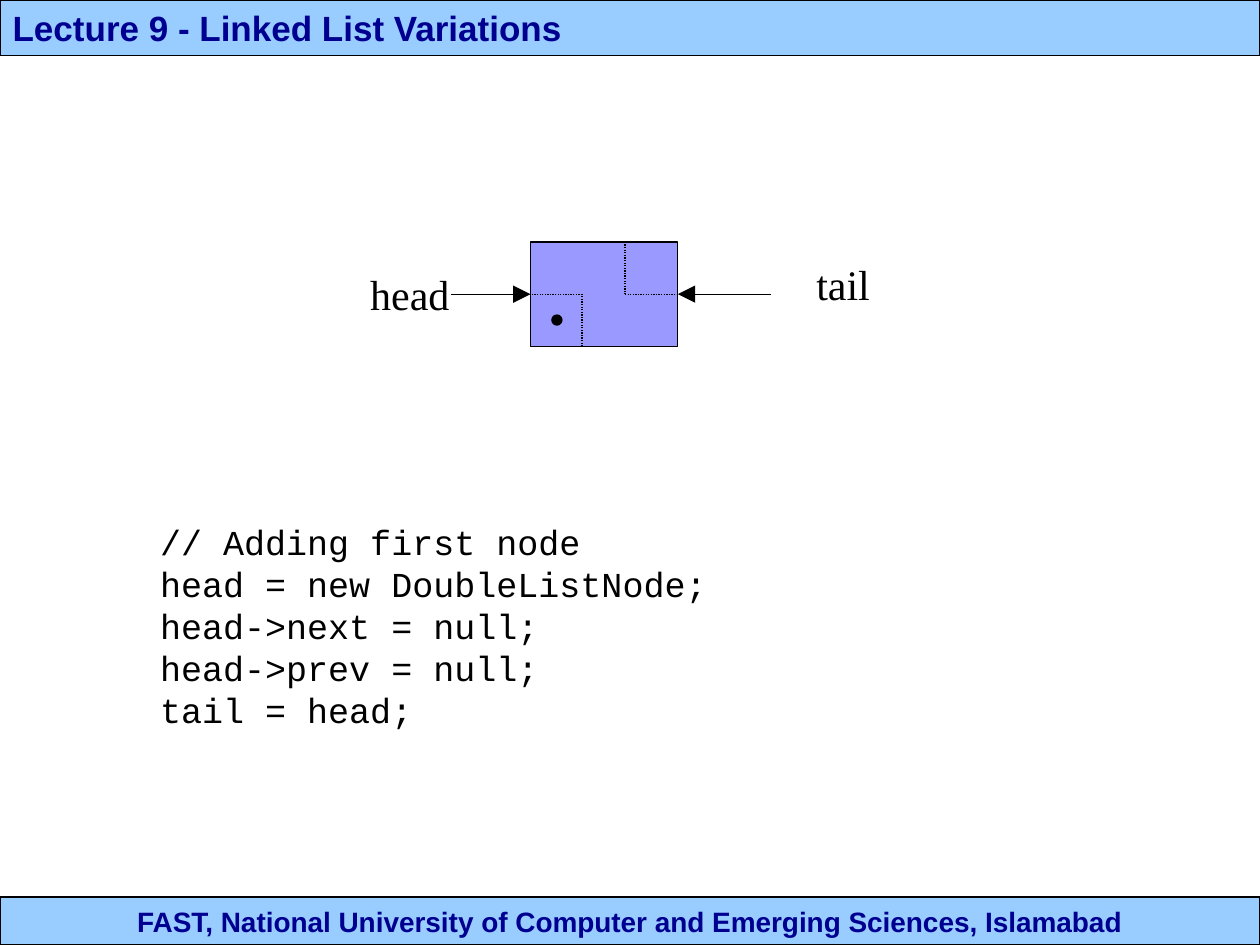
import pptx
import pptx.util
import pptx.dml.color
import pptx.enum.dml
import pptx.enum.shapes
import pptx.enum.text
import pptx.oxml.ns
import lxml.etree

Inches = pptx.util.Inches
Pt = pptx.util.Pt
RGBColor = pptx.dml.color.RGBColor
MSO_SHAPE = pptx.enum.shapes.MSO_SHAPE
PP_ALIGN = pptx.enum.text.PP_ALIGN
MSO_ANCHOR = pptx.enum.text.MSO_ANCHOR
qn = pptx.oxml.ns.qn

BLACK = RGBColor(0x00, 0x00, 0x00)
NAVY = RGBColor(0x00, 0x00, 0x90)
SKY = RGBColor(0x99, 0xCC, 0xFF)
LAVENDER = RGBColor(0x99, 0x99, 0xFF)

CODE = [
    "// Adding first node",
    "head = new DoubleListNode;",
    "head->next = null;",
    "head->prev = null;",
    "tail = head;",
]


def place(shape, left, top, width, height):
    shape.left, shape.top = Inches(left), Inches(top)
    shape.width, shape.height = Inches(width), Inches(height)


def paint(shape, color):
    shape.fill.solid()
    shape.fill.fore_color.rgb = color
    shape.line.color.rgb = BLACK
    shape.line.width = Pt(0.75)


def write(frame, lines, font, size, color=BLACK, bold=False, align=PP_ALIGN.LEFT):
    for number, line in enumerate(lines):
        paragraph = frame.paragraphs[0] if number == 0 else frame.add_paragraph()
        paragraph.alignment = align
        run = paragraph.add_run()
        run.text = line
        run.font.name = font
        run.font.size = Pt(size)
        run.font.bold = bold
        run.font.color.rgb = color


def fill_bar(bar, text, size, align):
    paint(bar, SKY)
    frame = bar.text_frame
    frame.word_wrap = True
    frame.auto_size = pptx.enum.text.MSO_AUTO_SIZE.NONE
    frame.vertical_anchor = MSO_ANCHOR.MIDDLE
    write(frame, [text], "Arial", size, NAVY, True, align)


def add_block(slide, kind, left, top, width, height, color):
    block = slide.shapes.add_shape(
        kind, Inches(left), Inches(top), Inches(width), Inches(height))
    block.shadow.inherit = False
    paint(block, color)
    return block


def add_text(slide, lines, left, top, width, height, font, size):
    box = slide.shapes.add_textbox(
        Inches(left), Inches(top), Inches(width), Inches(height))
    box.text_frame.word_wrap = True
    box.text_frame.margin_right = 0
    write(box.text_frame, lines, font, size)
    return box


def add_line(slide, start, end):
    line = slide.shapes.add_connector(
        pptx.enum.shapes.MSO_CONNECTOR.STRAIGHT,
        *[Inches(value) for value in (*start, *end)])
    line.line.color.rgb = BLACK
    line.line.width = Pt(0.75)
    lxml.etree.SubElement(line._element.spPr, qn("a:effectLst"))
    return line


def add_divider(slide, start, end):
    divider = add_line(slide, start, end)
    divider.line.dash_style = pptx.enum.dml.MSO_LINE.ROUND_DOT


def add_arrow(slide, start, end):
    arrow = add_line(slide, start, end)
    outline = arrow._element.spPr.find(qn("a:ln"))
    lxml.etree.SubElement(
        outline, qn("a:tailEnd"), type="triangle", w="lg", len="lg")


def add_node(slide, left, top, width, height):
    right, bottom, middle = left + width, top + height, top + height / 2
    next_edge, prev_edge = left + 0.75, left + 0.41
    add_block(slide, MSO_SHAPE.RECTANGLE, left, top, width, height, LAVENDER)
    add_divider(slide, (next_edge, top), (next_edge, middle))
    add_divider(slide, (next_edge, middle), (right, middle))
    add_divider(slide, (prev_edge, bottom), (prev_edge, middle))
    add_divider(slide, (prev_edge, middle), (left, middle))
    add_block(slide, MSO_SHAPE.OVAL, left + 0.17, top + 0.58, 0.08, 0.08, BLACK)
    add_arrow(slide, (3.58, middle), (left, middle))
    add_arrow(slide, (6.12, middle), (right, middle))


def main():
    deck = pptx.Presentation()
    deck.slide_width, deck.slide_height = Inches(10), Inches(7.5)
    slide = deck.slides.add_slide(deck.slide_layouts[5])

    heading = slide.shapes.title
    place(heading, 0, 0, 10, 0.44)
    fill_bar(heading, "Lecture 9 - Linked List Variations", 20, PP_ALIGN.LEFT)

    footer = add_block(slide, MSO_SHAPE.RECTANGLE, 0, 7.12, 10, 0.38, SKY)
    fill_bar(
        footer,
        "FAST, National University of Computer and Emerging Sciences, Islamabad",
        16, PP_ALIGN.CENTER)

    code = add_text(slide, CODE, 0.5, 4.08, 5.25, 2.12, "Courier New", 20)
    code.text_frame.margin_left = Inches(0.77)

    add_node(slide, 4.21, 1.92, 1.17, 0.83)
    add_text(slide, ["head"], 2.84, 2.08, 0.83, 0.5, "Times New Roman", 24)
    add_text(slide, ["tail"], 6.38, 2, 0.62, 0.5, "Times New Roman", 24)

    deck.save("out.pptx")


if __name__ == "__main__":
    main()
